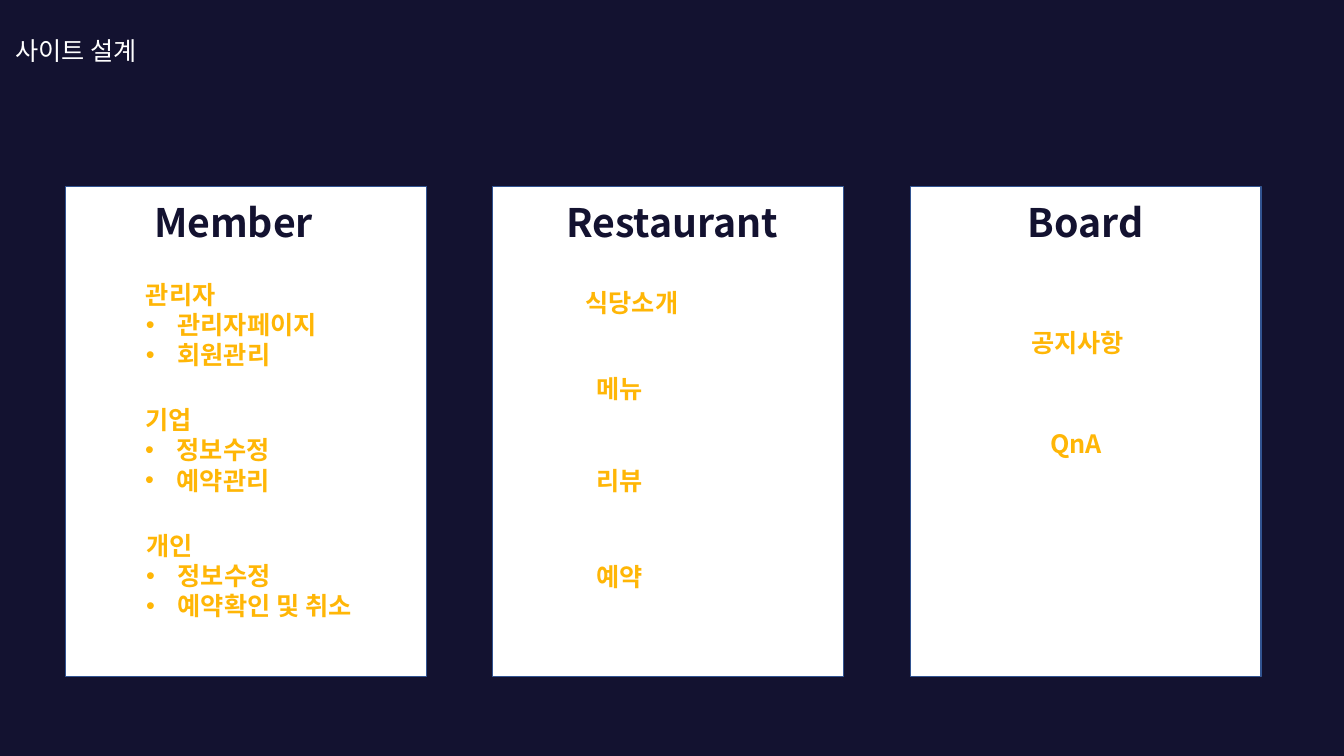
from lxml.etree import SubElement
from pptx import Presentation
from pptx.dml.color import RGBColor
from pptx.enum.shapes import MSO_SHAPE
from pptx.enum.text import MSO_AUTO_SIZE
from pptx.oxml.ns import qn
from pptx.util import Pt

COLORS = {"navy": "131230", "white": "FFFFFF", "border": "325491", "amber": "FFB606"}
FONT = "Noto Sans CJK KR"
CARD_TOP, CARD_HEIGHT = 133.2, 350
HEADING_TOP = 138.2
LINE_HEIGHT = 28.8
BULLET_INDENT = 22.5

# heading, card left, card width, heading left, heading width
CARDS = [
    ("Member", 46.8, 257.8, 103, 210.2),
    ("Restaurant", 352, 250.6, 397.4, 210.2),
    ("Board", 650.2, 250.6, 727.2, 183.6),
]
# role, its pages, left, width
ROLES = [
    ("관리자", ["관리자페이지", "회원관리"], 97.2, 156.2),
    ("기업", ["정보수정", "예약관리"], 96.6, 144),
    ("개인", ["정보수정", "예약확인 및 취소"], 97.4, 187.2),
]
ROLES_TOP, ROLE_STEP, ROLE_HEIGHT = 195.8, 89.6, 73
# page, left, top, width
PAGES = [
    ("식당소개", 411.1, 201.4, 137.5),
    ("메뉴", 419, 263.2, 137.5),
    ("리뷰", 419, 329.2, 116.6),
    ("예약", 419, 397.7, 98.6),
    ("공지사항", 729.4, 230.5, 108),
    ("QnA", 743, 302.6, 95),
]


def rgb(name):
    return RGBColor.from_string(COLORS[name])


def add_bullet(paragraph):
    properties = paragraph._p.get_or_add_pPr()
    properties.set("marL", str(Pt(BULLET_INDENT)))
    properties.set("indent", str(-Pt(BULLET_INDENT)))
    SubElement(properties, qn("a:buFont"), typeface="Arial")
    SubElement(properties, qn("a:buChar"), char="•")


def add_text(slide, text, left, top, width, height=LINE_HEIGHT, *,
             size=18, color="amber", bold=True, bullets=()):
    """Add a text box holding one plain line and any bulleted lines under it."""
    box = slide.shapes.add_textbox(Pt(left), Pt(top), Pt(width), Pt(height))
    frame = box.text_frame
    frame.word_wrap = True
    frame.auto_size = MSO_AUTO_SIZE.SHAPE_TO_FIT_TEXT
    for index, line in enumerate([text, *bullets]):
        paragraph = frame.add_paragraph() if index else frame.paragraphs[0]
        if index:
            add_bullet(paragraph)
        run = paragraph.add_run()
        run.text = line
        run.font.size = Pt(size)
        run.font.bold = bold
        run.font.color.rgb = rgb(color)
        run.font.name = FONT
        SubElement(run._r.get_or_add_rPr(), qn("a:ea"), typeface=FONT)


def add_card(slide, left, width):
    card = slide.shapes.add_shape(
        MSO_SHAPE.RECTANGLE, Pt(left), Pt(CARD_TOP), Pt(width), Pt(CARD_HEIGHT))
    card.shadow.inherit = False
    card.fill.solid()
    card.fill.fore_color.rgb = rgb("white")
    card.line.color.rgb = rgb("border")
    card.line.width = Pt(1)


def main():
    presentation = Presentation()
    presentation.slide_width, presentation.slide_height = Pt(960), Pt(540)
    slide = presentation.slides.add_slide(presentation.slide_layouts[6])
    slide.background.fill.solid()
    slide.background.fill.fore_color.rgb = rgb("navy")

    add_text(slide, "사이트 설계", 4, 21.6, 138, color="white", bold=False)
    for heading, card_left, card_width, left, width in CARDS:
        add_card(slide, card_left, card_width)
        add_text(slide, heading, left, HEADING_TOP, width, 41, size=28, color="navy")
    for index, (role, pages, left, width) in enumerate(ROLES):
        add_text(slide, role, left, ROLES_TOP + index * ROLE_STEP, width, ROLE_HEIGHT,
                 bullets=pages)
    for page, left, top, width in PAGES:
        add_text(slide, page, left, top, width)

    presentation.save("out.pptx")


if __name__ == "__main__":
    main()
